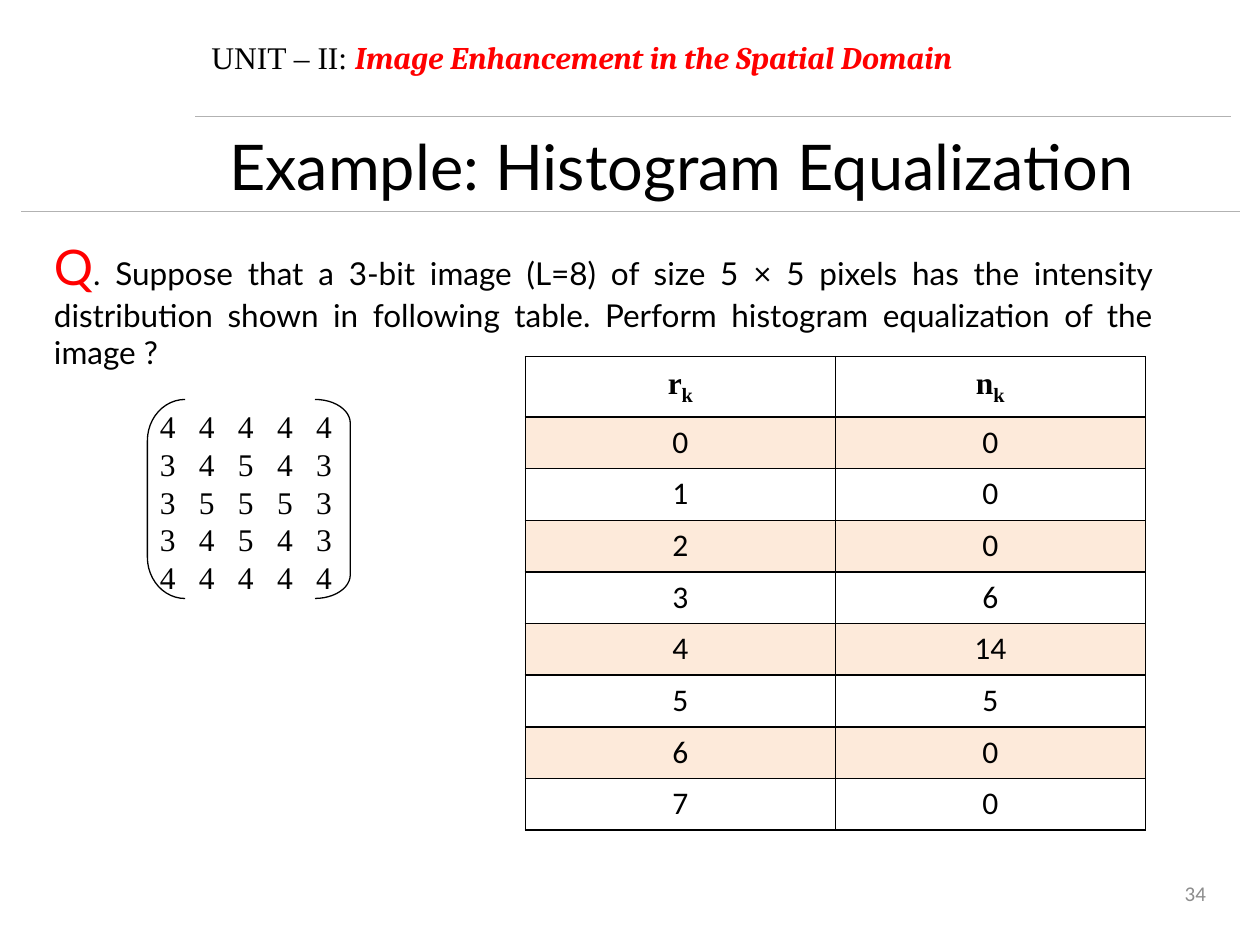
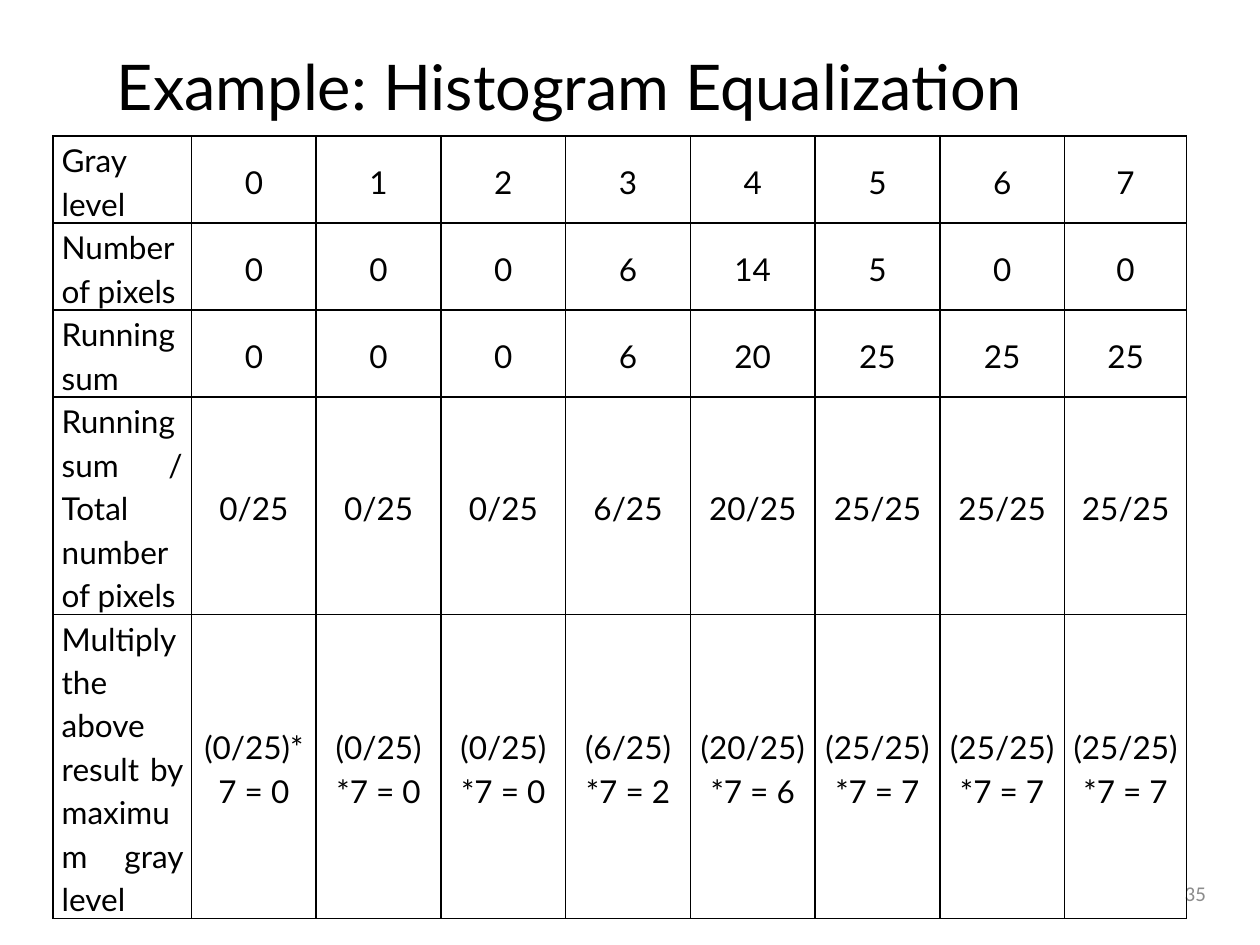
from itertools import accumulate
from lxml import etree
from pptx import Presentation
from pptx.dml.color import RGBColor
from pptx.enum.shapes import MSO_CONNECTOR, MSO_SHAPE
from pptx.enum.text import MSO_ANCHOR, PP_ALIGN
from pptx.oxml import parse_xml
from pptx.oxml.ns import nsdecls, qn
from pptx.util import Inches, Pt

LEFT, CENTER, RIGHT, JUSTIFY = PP_ALIGN.LEFT, PP_ALIGN.CENTER, PP_ALIGN.RIGHT, PP_ALIGN.JUSTIFY
TOP, MIDDLE = MSO_ANCHOR.TOP, MSO_ANCHOR.MIDDLE
STRAIGHT = MSO_CONNECTOR.STRAIGHT
LEFT_BRACKET, RIGHT_BRACKET = MSO_SHAPE.LEFT_BRACKET, MSO_SHAPE.RIGHT_BRACKET

BLACK = RGBColor(0x00, 0x00, 0x00)
RED = RGBColor(0xFF, 0x00, 0x00)
RULE_GRAY = RGBColor(0xB2, 0xB2, 0xB2)
NUMBER_GRAY = RGBColor(0x8C, 0x8C, 0x8C)
BAND_PEACH = RGBColor(0xFD, 0xEA, 0xDA)

BODY_FONT, NUMBER_FONT, SERIF_FONT, UNIT_FONT = "Lato", "Calibri", "Times New Roman", "Cambria"
TITLE_SHADOW = (
    f'<a:effectLst {nsdecls("a")}><a:outerShdw blurRad="38100" dist="38100" dir="2700000">'
    '<a:srgbClr val="C0C0C0"/></a:outerShdw></a:effectLst>'
)


def add_run(paragraph, text, size, font_name, color=BLACK, bold=False, italic=False):
    run = paragraph.add_run()
    run.text = text
    font = run.font
    font.size, font.name, font.bold, font.italic = Pt(size), font_name, bold, italic
    font.color.rgb = color
    return run


def add_text_box(slide, left, top, width, height, align=LEFT, anchor=TOP):
    box = slide.shapes.add_textbox(Inches(left), Inches(top), Inches(width), Inches(height))
    box.text_frame.word_wrap = True
    box.text_frame.vertical_anchor = anchor
    box.text_frame.paragraphs[0].alignment = align
    return box.text_frame


presentation = Presentation()
presentation.slide_width, presentation.slide_height = Inches(10), Inches(7.5)
blank_layout = presentation.slide_layouts[6]
question_slide = presentation.slides.add_slide(blank_layout)
solution_slide = presentation.slides.add_slide(blank_layout)

for slide, number, title_left, title_top in (
    (question_slide, "34", 1.72, 0.96),
    (solution_slide, "35", 0.83, 0.33),
):
    number_frame = add_text_box(slide, 7.17, 6.83, 2.5, 0.52, RIGHT, MIDDLE)
    add_run(number_frame.paragraphs[0], number, 12, NUMBER_FONT, NUMBER_GRAY)
    title_frame = add_text_box(slide, title_left, title_top, 7.86, 0.71, JUSTIFY)
    title = add_run(title_frame.paragraphs[0], "Example: Histogram Equalization", 36, BODY_FONT)
    title.font._element.find(qn("a:latin")).addprevious(parse_xml(TITLE_SHADOW))

unit = add_text_box(question_slide, 1.58, 0.25, 7.67, 0.4).paragraphs[0]
add_run(unit, "UNIT – II: ", 18, SERIF_FONT)
add_run(unit, "Image Enhancement in the Spatial Domain", 18, UNIT_FONT, RED, True, True)

for start, end, height in ((9.84, 0.17, 1.68), (9.77, 1.55, 0.92)):
    rule = question_slide.shapes.add_connector(
        STRAIGHT, Inches(start), Inches(height), Inches(end), Inches(height))
    rule.line.color.rgb = RULE_GRAY
    rule.line.width = Pt(0.25)
    etree.SubElement(rule._element.spPr, qn("a:effectLst"))

question = add_text_box(question_slide, 0.33, 1.83, 8.92, 0.88, JUSTIFY).paragraphs[0]
add_run(question, "Q", 28, BODY_FONT, RED)
add_run(
    question,
    ". Suppose that a 3-bit image (L=8) of size 5 × 5 pixels has the intensity distribution "
    "shown in following table. Perform histogram equalization of the image ?",
    18, BODY_FONT)

pixel_counts = [0, 0, 0, 6, 14, 5, 0, 0]
gray_levels = range(len(pixel_counts))
running_sums = list(accumulate(pixel_counts))
total, top_level = running_sums[-1], gray_levels[-1]

count_table = question_slide.shapes.add_table(
    9, 2, Inches(4.17), Inches(2.83), Inches(4.92), Inches(3.68)).table
for row in count_table.rows:
    row.height = Inches(0.41)
count_table.rows[0].height = Inches(0.43)
for column, symbol in enumerate("rn"):
    paragraph = count_table.cell(0, column).text_frame.paragraphs[0]
    paragraph.alignment = CENTER
    add_run(paragraph, symbol, 18, SERIF_FONT, bold=True)
    subscript = add_run(paragraph, "k", 20, SERIF_FONT, bold=True)
    subscript.font._element.set("baseline", "-25000")
for level, count in enumerate(pixel_counts):
    for column, value in enumerate((level, count)):
        paragraph = count_table.cell(level + 1, column).text_frame.paragraphs[0]
        paragraph.alignment = CENTER
        add_run(paragraph, str(value), 18, NUMBER_FONT)

for bracket_type, left, width, curve in (
    (LEFT_BRACKET, 1.17, 0.3, 1.091),
    (RIGHT_BRACKET, 2.5, 0.28, 0.671),
):
    bracket = question_slide.shapes.add_shape(
        bracket_type, Inches(left), Inches(3.17), Inches(width), Inches(1.58))
    bracket.adjustments[0] = curve
    bracket.shadow.inherit = False
    bracket.fill.background()
    bracket.line.color.rgb = BLACK
    bracket.line.width = Pt(0.75)

matrix_frame = add_text_box(question_slide, 1.17, 3.17, 1.59, 1.62, anchor=MIDDLE)
matrix_frame.margin_right = 0
for index, pixels in enumerate(("44444", "34543", "35553", "34543", "44444")):
    paragraph = matrix_frame.add_paragraph() if index else matrix_frame.paragraphs[0]
    tab_list = etree.SubElement(paragraph._p.get_or_add_pPr(), qn("a:tabLst"))
    for stop in range(1, len(pixels)):
        etree.SubElement(tab_list, qn("a:tab"), pos=str(Inches(0.31 * stop)), algn="l")
    add_run(paragraph, "\t".join(pixels), 18, SERIF_FONT)

scaled_levels = [f"({value}/{total}) *{top_level} = {round(value * top_level / total)}"
                 for value in running_sums]
scaled_levels[0] = scaled_levels[0].replace(" *", "*")
solution_rows = [
    ("Gray level", 0.64, gray_levels),
    ("Number of pixels", 0.64, pixel_counts),
    ("Running sum", 0.64, running_sums),
    ("Running sum / Total number of pixels", 1.63, [f"{value}/{total}" for value in running_sums]),
    ("Multiply the above result by maximum gray level", 2.3, scaled_levels),
]
solution_table = solution_slide.shapes.add_table(
    5, 9, Inches(0.42), Inches(1.08), Inches(9), Inches(5.85)).table
for column, width in enumerate([1.1] + [0.99] * 7 + [0.97]):
    solution_table.columns[column].width = Inches(width)
for row, (label, height, values) in enumerate(solution_rows):
    solution_table.rows[row].height = Inches(height)
    for column, value in enumerate((label, *values)):
        cell = solution_table.cell(row, column)
        cell.margin_left = cell.margin_right = Inches(0.07)
        cell.margin_top = cell.margin_bottom = 0
        cell.vertical_anchor = MIDDLE if column else TOP
        paragraph = cell.text_frame.paragraphs[0]
        paragraph.alignment = CENTER if column else JUSTIFY
        paragraph.line_spacing = 1.15
        add_run(paragraph, str(value), 18, BODY_FONT)

for table, banded in ((count_table, True), (solution_table, False)):
    table.first_row = table.horz_banding = False
    for row_index, row in enumerate(table.rows):
        for cell in row.cells:
            properties = cell._tc.get_or_add_tcPr()
            for side in "LRTB":
                properties.append(parse_xml(
                    f'<a:ln{side} {nsdecls("a")} w="{Pt(1)}"><a:solidFill>'
                    f'<a:srgbClr val="{BLACK}"/></a:solidFill></a:ln{side}>'))
            if banded and row_index % 2:
                cell.fill.solid()
                cell.fill.fore_color.rgb = BAND_PEACH
            else:
                cell.fill.background()

presentation.save("out.pptx")
